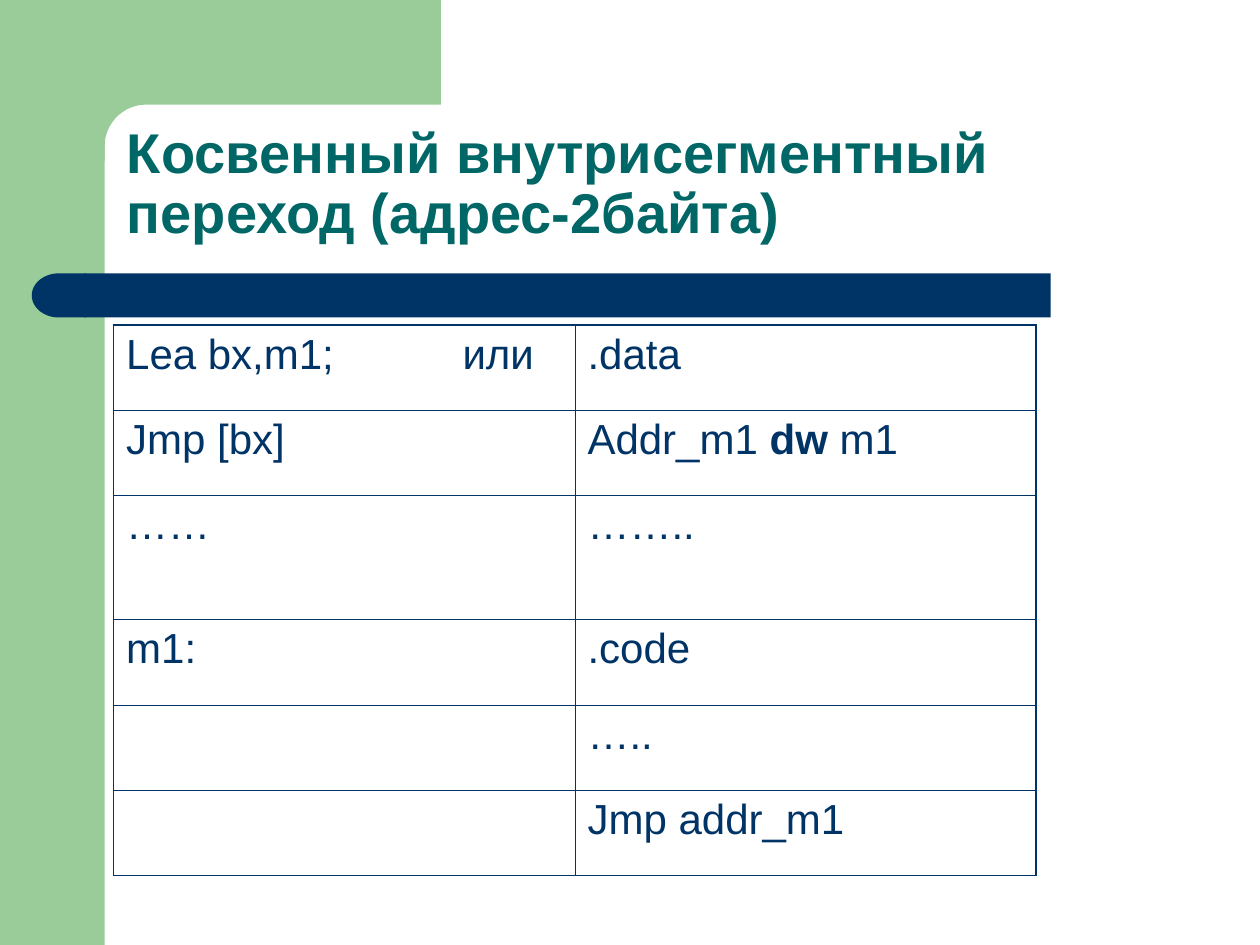
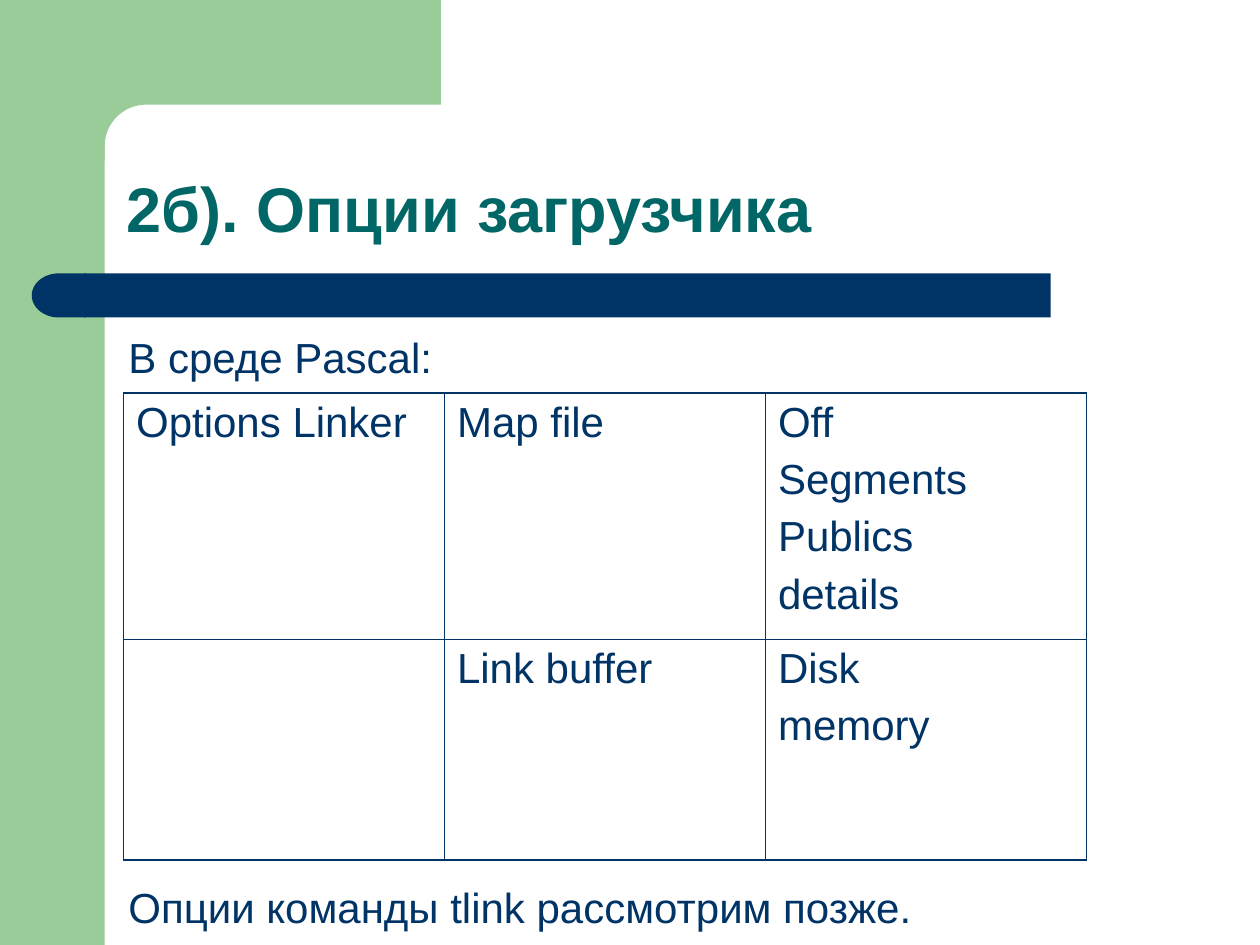
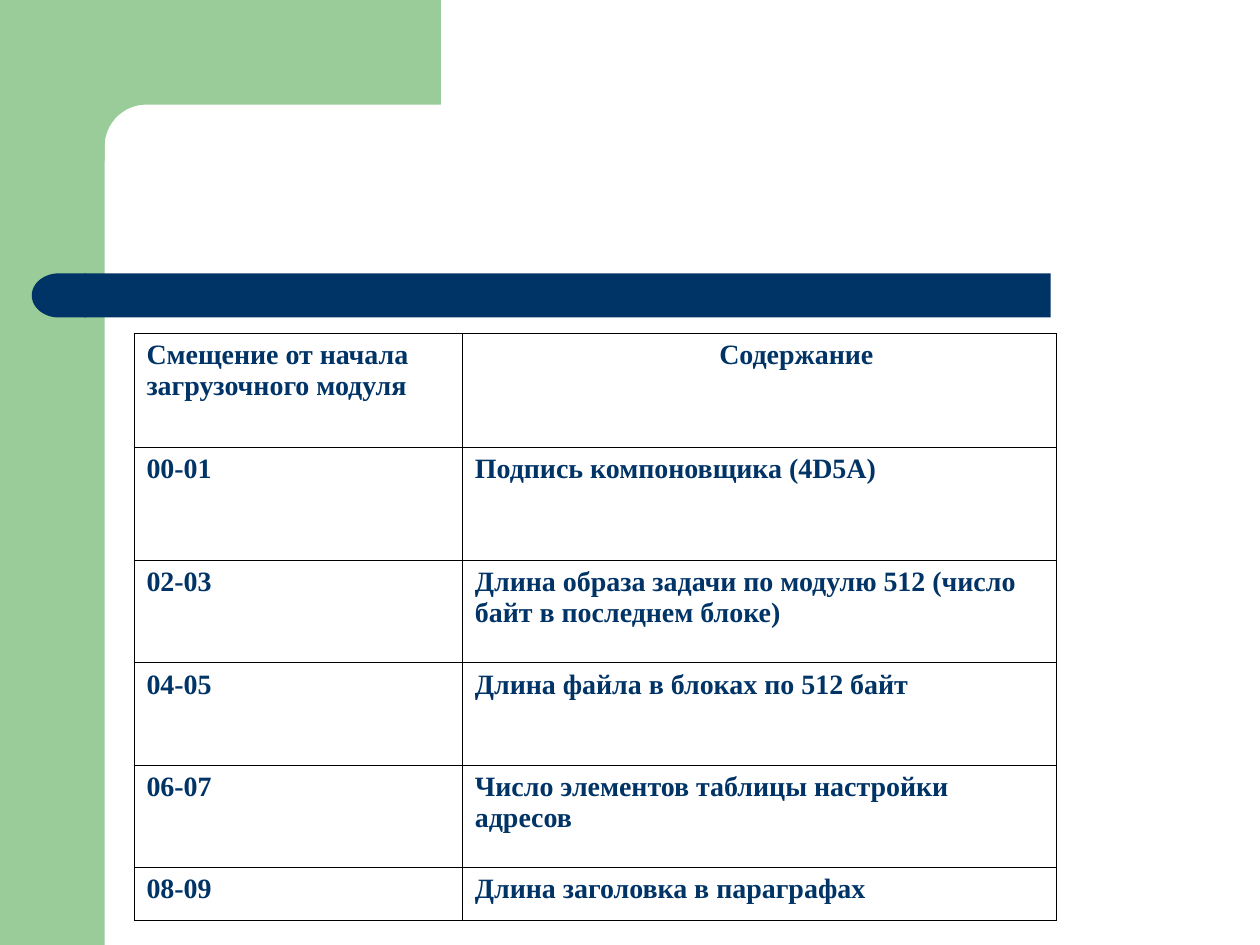
"""Build three slides on assembler jumps, loader options and the load module header."""
import math

from lxml import etree
from pptx import Presentation
from pptx import util as u
from pptx.dml.color import RGBColor
from pptx.enum import shapes, text
from pptx.oxml import ns

GREEN, NAVY, TEAL, BLACK = "99CC99", "003366", "006666", "000000"
SANS, SERIF = "Arial", "Times New Roman"
PAGE_WIDTH, PAGE_HEIGHT = 25.4, 19.05
SIDE, BAND_LEFT, BAND_RIGHT, RADIUS = 2.11, 1.27, 8.89, 0.84
BAR_TOP, BAR_HEIGHT = 5.51, 0.89
THIN, THICK = 0.45, 1.08

SLIDES = [
    {
        "title": "Косвенный внутрисегментный переход (адрес-2байта)",
        "title_size": 32,
        "table": {
            "at": (2.29, 6.55), "cols": [9.3, 9.3],
            "rows": [1.72, 1.72, 2.5, 1.72, 1.72, 1.72],
            "font": (24, SANS, False), "line": (NAVY, THICK), "tab": 6.78,
            "cells": [
                ("Lea bx,m1;\tили", ".data"),
                ("Jmp [bx]", "Addr_m1 *dw* m1"),
                ("……", "…….."),
                ("m1:", ".code"),
                ("", "….."),
                ("", "Jmp addr_m1"),
            ],
        },
    },
    {
        "title": "2б). Опции загрузчика",
        "title_size": 36,
        "body": "В среде Pascal:\nОпции команды tlink рассмотрим позже.",
        "table": {
            "at": (2.49, 7.92), "cols": [6.47] * 3, "rows": [4.96, 4.45],
            "font": (24, SANS, False), "line": (NAVY, THICK),
            "cells": [
                ("Options Linker", "Map file", "Off\nSegments\nPublics\ndetails"),
                ("", "Link buffer", "Disk\nmemory"),
            ],
        },
    },
    {
        "table": {
            "at": (2.7, 6.72), "cols": [6.62, 11.98],
            "rows": [2.29, 2.29, 2.06, 2.06, 2.06, 1.07],
            "font": (16, SERIF, True), "line": (BLACK, THIN),
            "indents": {(0, 1): 5.18},
            "cells": [
                ("Смещение от начала загрузочного модуля", "Содержание"),
                ("00-01", "Подпись компоновщика (4D5А)"),
                ("02-03", "Длина образа задачи по модулю 512 (число байт в последнем блоке)"),
                ("04-05", "Длина файла в блоках по 512 байт"),
                ("06-07", "Число элементов таблицы настройки адресов"),
                ("08-09", "Длина заголовка в параграфах"),
            ],
        },
    },
]


def paint(shape, color):
    shape.fill.solid()
    shape.fill.fore_color.rgb = RGBColor.from_string(color)
    shape.line.fill.background()
    shape.shadow.inherit = False


def write(frame, content, font, color, gap=6, spacing=None, tab=None):
    size, name, bold = font
    for number, line in enumerate(content.split("\n")):
        para = frame.add_paragraph() if number else frame.paragraphs[0]
        if number:
            para.space_before = u.Pt(gap)
        if spacing:
            para.line_spacing = spacing
        if "\t" in line:
            stops = etree.SubElement(para._p.get_or_add_pPr(), ns.qn("a:tabLst"))
            etree.SubElement(stops, ns.qn("a:tab"), pos=str(u.Cm(tab)), algn="l")
        para.font.size, para.font.name, para.font.bold = u.Pt(size), name, bold
        para.font.color.rgb = RGBColor.from_string(color)
        for index, part in enumerate(line.split("*")):
            span = para.add_run()
            span.text = part
            if index % 2:
                span.font.bold = True


def add_frame(page, place, anchor):
    frame = page.shapes.add_textbox(*map(u.Cm, place)).text_frame
    frame.word_wrap = True
    frame.vertical_anchor = anchor
    return frame


def add_backdrop(page):
    kinds = shapes.MSO_SHAPE
    for kind, place, color in [
        (kinds.RECTANGLE, (0, 0, SIDE, PAGE_HEIGHT), GREEN),
        (kinds.RECTANGLE, (1.7, BAR_TOP, 19.48, BAR_HEIGHT), NAVY),
        (kinds.FLOWCHART_DELAY, (0.64, BAR_TOP, 1.09, BAR_HEIGHT), NAVY),
    ]:
        shape = page.shapes.add_shape(kind, *map(u.Cm, place))
        paint(shape, color)
        if kind == kinds.FLOWCHART_DELAY:
            shape.rotation = 180

    center = SIDE + RADIUS
    angles = [math.radians(degrees) for degrees in range(0, 91, 6)]
    arc = [(center - RADIUS * math.sin(a), center - RADIUS * math.cos(a)) for a in angles]
    outline = [(BAND_RIGHT, 0), (BAND_RIGHT, SIDE), *arc,
               (SIDE, 3.25), (BAND_LEFT, 3.25), (BAND_LEFT, 0)]
    points = [(u.Cm(x), u.Cm(y)) for x, y in outline]
    builder = page.shapes.build_freeform(*points[0])
    builder.add_line_segments(points[1:], close=True)
    paint(builder.convert_to_shape(), GREEN)


def set_border(cell, side, width, color):
    line = etree.SubElement(cell._tc.get_or_add_tcPr(), ns.qn("a:ln" + side),
                            w=str(u.Pt(width)))
    fill = etree.SubElement(line, ns.qn("a:solidFill"))
    etree.SubElement(fill, ns.qn("a:srgbClr"), val=color)


def add_grid(page, grid):
    cols, rows = grid["cols"], grid["rows"]
    place = (*grid["at"], sum(cols), sum(rows))
    table = page.shapes.add_table(len(rows), len(cols), *map(u.Cm, place)).table
    table.first_row = table.horz_banding = False
    for column, width in zip(table.columns, cols):
        column.width = u.Cm(width)
    color, outer = grid["line"]
    for r, height in enumerate(rows):
        table.rows[r].height = u.Cm(height)
        for c, content in enumerate(grid["cells"][r]):
            cell = table.cell(r, c)
            edges = {"L": c == 0, "R": c == len(cols) - 1,
                     "T": r == 0, "B": r == len(rows) - 1}
            for side, on_edge in edges.items():
                set_border(cell, side, outer if on_edge else THIN, color)
            cell.fill.background()
            if (r, c) in grid.get("indents", {}):
                cell.margin_left = u.Cm(grid["indents"][r, c])
            write(cell.text_frame, content, grid["font"], NAVY, tab=grid.get("tab"))


def main():
    deck = Presentation()
    deck.slide_width, deck.slide_height = u.Cm(PAGE_WIDTH), u.Cm(PAGE_HEIGHT)
    for content in SLIDES:
        page = deck.slides.add_slide(deck.slide_layouts[6])
        add_backdrop(page)
        if "title" in content:
            frame = add_frame(page, (2.31, 2.31, 21.62, 2.77), text.MSO_ANCHOR.BOTTOM)
            write(frame, content["title"], (content["title_size"], SANS, True), TEAL,
                  spacing=0.9)
        if "body" in content:
            frame = add_frame(page, (2.34, 6.55, 18.16, 12.5), text.MSO_ANCHOR.TOP)
            write(frame, content["body"], (24, SANS, False), NAVY, gap=286)
        add_grid(page, content["table"])
    deck.save("out.pptx")


if __name__ == "__main__":
    main()
